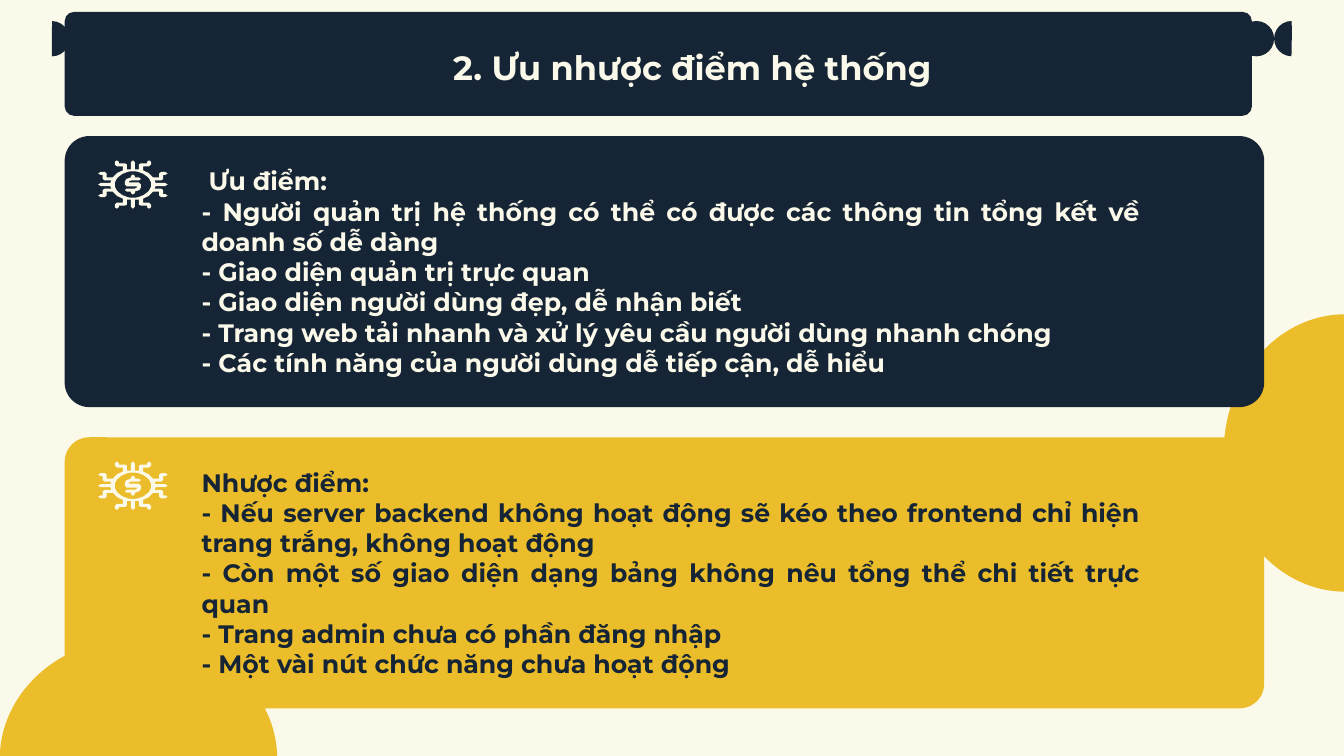
"""Build the slide on the strengths and weaknesses of the system."""
from dataclasses import dataclass
from math import cos, pi, sin

from pptx import Presentation
from pptx import util as u
from pptx.dml.color import RGBColor
from pptx.enum import shapes, text

COLORS = {"cream": "FBF9EA", "navy": "162535", "gold": "ECBD2A"}
FONT = "Montserrat"
Point = tuple[int, int]

PANEL_LEFT, PANEL_WIDTH, PANEL_HEIGHT = 1.63, 30.23, 6.83
PANEL_TOP, PANEL_PITCH = 3.43, 7.59
CORNER = 0.091
HALF_LARGE = (53.461, 162)
HALF_SMALL = (54.579, 162)

CIRCUIT_QUARTER: list[Point] = [
    (0, -48), (4, -44), (4, -30), (12, -30), (12, -40), (16, -42), (28, -42),
    (28, -45), (32, -48), (36, -45), (36, -40), (32, -36), (20, -36), (20, -28),
    (31, -23), (40, -14), (52, -14), (52, -22), (56, -25), (64, -25), (69, -22),
    (64, -19), (60, -19), (60, -11), (56, -8), (43, -8), (45, -3), (64, -3), (69, 0),
]
DOLLAR_HALF: list[Point] = [
    (0, -20), (-4, -17), (-4, -14), (-13, -11), (-16, -6), (-16, 0), (-12, 4),
    (8, 4), (8, 6), (4, 8), (-12, 8), (-16, 11), (-12, 14), (-4, 14), (-4, 17),
]


@dataclass
class Block:
    """A preset shape with a plain fill, measured in centimetres."""
    kind: shapes.MSO_SHAPE
    left: float
    top: float
    width: float
    height: float
    color: str
    adjustments: tuple[float, ...] = ()
    rotation: float = 0


@dataclass
class Panel:
    """A coloured panel and its lines of text."""
    color: str
    ink: str
    lines: list[str]


DECORATION = [
    Block(shapes.MSO_SHAPE.PIE, 0.43, 15.62, 6.12, 6.99, "gold", HALF_LARGE, 90),
    Block(shapes.MSO_SHAPE.PIE, 30.84, 7.92, 6.12, 6.99, "gold", HALF_LARGE),
    Block(shapes.MSO_SHAPE.PIE, 0.86, 0.53, 0.89, 0.89, "navy", HALF_SMALL, 180),
    Block(shapes.MSO_SHAPE.PIE, 32.11, 0.53, 0.89, 0.89, "navy", HALF_SMALL),
    Block(shapes.MSO_SHAPE.OVAL, 31.22, 0.53, 0.89, 0.89, "navy"),
]
TITLE_BAR = Block(shapes.MSO_SHAPE.ROUNDED_RECTANGLE, PANEL_LEFT, 0.3, 29.92, 2.62,
                  "navy", (CORNER,))
PANELS = [
    Panel("navy", "cream", [
        " Ưu điểm:",
        "- Người quản trị hệ thống có thể có được các thông tin tổng kết về doanh số dễ dàng",
        "- Giao diện quản trị trực quan",
        "- Giao diện người dùng đẹp, dễ nhận biết",
        "- Trang web tải nhanh và xử lý yêu cầu người dùng nhanh chóng",
        "- Các tính năng của người dùng dễ tiếp cận, dễ hiểu",
    ]),
    Panel("gold", "navy", [
        "Nhược điểm:",
        "- Nếu server backend không hoạt động sẽ kéo theo frontend chỉ hiện trang trắng, "
        "không hoạt động",
        "- Còn một số giao diện dạng bảng không nêu tổng thể chi tiết trực quan",
        "- Trang admin chưa có phần đăng nhập",
        "- Một vài nút chức năng chưa hoạt động",
    ]),
]


def rgb(color: str) -> RGBColor:
    """Look up a named colour."""
    return RGBColor.from_string(COLORS[color])


def paint(shape, color: str) -> None:
    """Give a shape a plain fill without outline or shadow."""
    shape.shadow.inherit = False
    shape.fill.solid()
    shape.fill.fore_color.rgb = rgb(color)
    shape.line.fill.background()


def draw_block(slide, block: Block) -> None:
    """Draw one preset shape."""
    shape = slide.shapes.add_shape(block.kind, u.Cm(block.left), u.Cm(block.top),
                                   u.Cm(block.width), u.Cm(block.height))
    for index, value in enumerate(block.adjustments):
        shape.adjustments[index] = value
    shape.rotation = block.rotation
    paint(shape, block.color)


def draw_text(slide, box: tuple[float, float, float, float], lines: list[str], size: float,
              color: str, align: text.PP_ALIGN, inset: float = 0) -> None:
    """Write bold paragraphs, centred vertically in their box."""
    frame = slide.shapes.add_textbox(*map(u.Cm, box)).text_frame
    frame.word_wrap = True
    frame.vertical_anchor = text.MSO_ANCHOR.MIDDLE
    frame.margin_left = frame.margin_right = 0
    frame.margin_top = frame.margin_bottom = u.Cm(inset)
    for index, line in enumerate(lines):
        paragraph = frame.add_paragraph() if index else frame.paragraphs[0]
        paragraph.alignment = align
        run = paragraph.add_run()
        run.text = line
        run.font.name = FONT
        run.font.size = u.Pt(size)
        run.font.bold = True
        run.font.color.rgb = rgb(color)


def draw_outline(slide, center: tuple[float, float], contours: list[list[Point]]) -> None:
    """Draw closed contours around a centre as one filled shape."""
    first, *others = contours
    builder = slide.shapes.build_freeform(*first[0], scale=u.Cm(0.0127))
    builder.add_line_segments(first[1:])
    for contour in others:
        builder.move_to(*contour[0])
        builder.add_line_segments(contour[1:])
    paint(builder.convert_to_shape(*map(u.Cm, center)), "cream")


def draw_icon(slide, center: tuple[float, float]) -> None:
    """Draw a dollar sign inside an eye with circuit leads."""
    right = CIRCUIT_QUARTER + [(x, -y) for x, y in reversed(CIRCUIT_QUARTER[:-1])]
    circuit = right + [(-x, y) for x, y in reversed(right[1:-1])]
    eye = [(round(36 * cos(step * pi / 20)), round(-26 * sin(step * pi / 20)))
           for step in range(40)]
    dollar = DOLLAR_HALF + [(-x, -y) for x, y in DOLLAR_HALF]
    draw_outline(slide, center, [dollar])
    draw_outline(slide, center, [circuit, eye])


def draw_panel(slide, panel: Panel, top: float) -> None:
    """Draw a panel with its text and icon."""
    draw_block(slide, Block(shapes.MSO_SHAPE.ROUNDED_RECTANGLE, PANEL_LEFT, top,
                            PANEL_WIDTH, PANEL_HEIGHT, panel.color, (CORNER,)))
    draw_text(slide, (5.08, top + 2.74, 23.65, 1.35), panel.lines, 18, panel.ink,
              text.PP_ALIGN.JUSTIFY, 0.33)
    draw_icon(slide, (3.35, top + 1.22))


def main() -> None:
    """Assemble and save the slide."""
    deck = Presentation()
    deck.slide_width, deck.slide_height = u.Cm(33.87), u.Cm(19.05)
    slide = deck.slides.add_slide(deck.slide_layouts[6])
    slide.background.fill.solid()
    slide.background.fill.fore_color.rgb = rgb("cream")
    for block in [*DECORATION, TITLE_BAR]:
        draw_block(slide, block)
    draw_text(slide, (4.24, 0.69, 26.42, 2.01), ["2. Ưu nhược điểm hệ thống"], 24,
              "cream", text.PP_ALIGN.CENTER)
    for index, panel in enumerate(PANELS):
        draw_panel(slide, panel, PANEL_TOP + index * PANEL_PITCH)
    deck.save("out.pptx")


if __name__ == "__main__":
    main()
